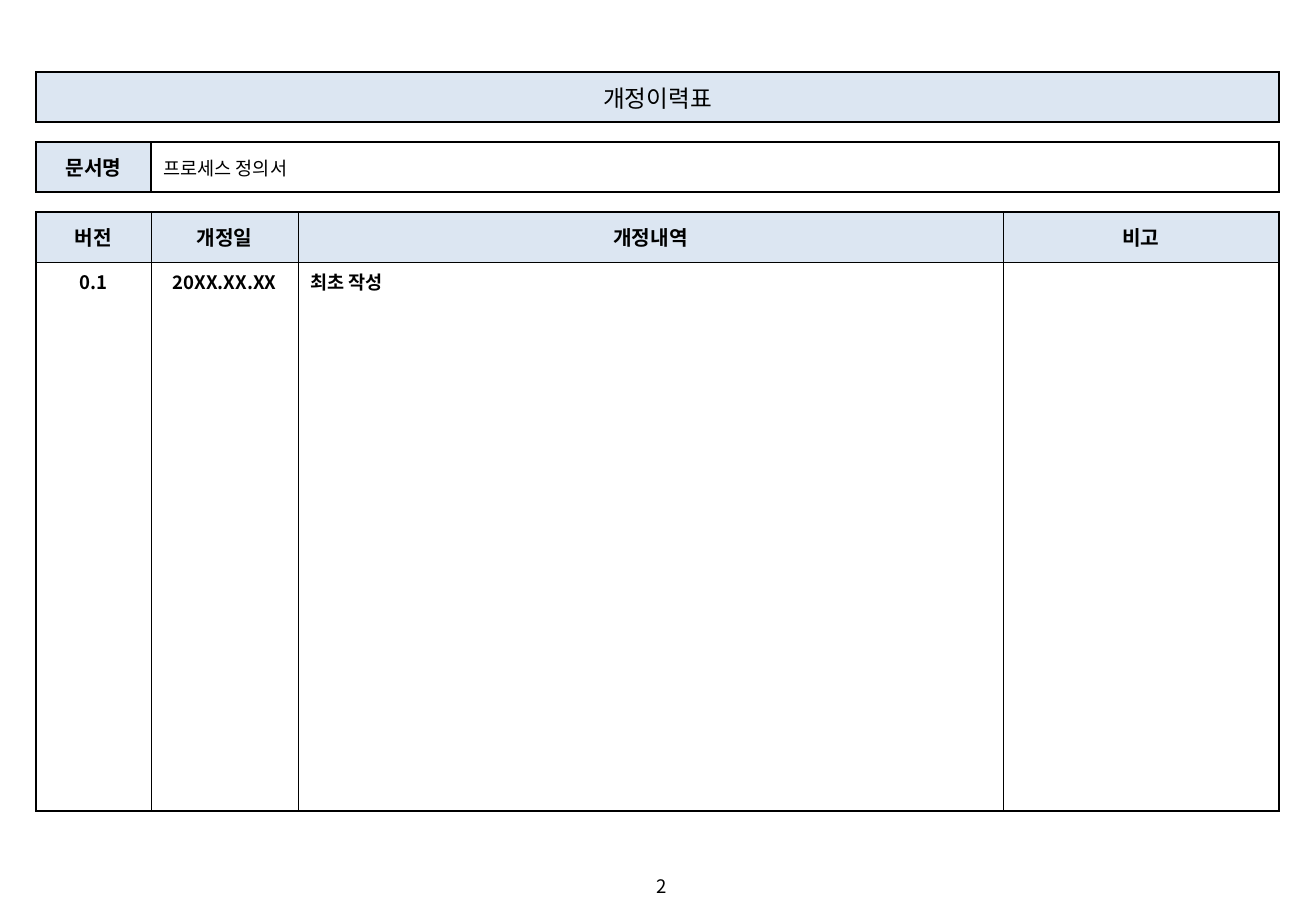
import dataclasses

import lxml.etree
import pptx
import pptx.dml.color
import pptx.enum.text
import pptx.oxml.ns
import pptx.table
import pptx.util

SCALE = 914400 / 121.5
FONT = "Noto Sans CJK KR"
HUES = {"ink": "000000", "head": "DCE6F2"}
ALIGN = pptx.enum.text.PP_ALIGN
ANCHOR = pptx.enum.text.MSO_ANCHOR

COLS = [115, 147, 705, 276]
ROWS = [50, 20, 50, 20, 50, 549]
GAPS = (1, 3)
GRID = 4  # first row with thin inner lines


@dataclasses.dataclass(frozen=True)
class Entry:
    row: int
    col: int
    text: str = ""
    size: int = 11
    bold: bool = False
    head: bool = False
    mid: bool = True
    center: bool = True
    span: int = 1


ENTRIES = [
    Entry(0, 0, "개정이력표", 14, head=True, span=4),
    Entry(1, 0, span=4),
    Entry(2, 0, "문서명", 12, bold=True, head=True),
    Entry(2, 1, "프로세스 정의서", center=False, span=3),
    Entry(3, 0, span=4),
    *(Entry(4, col, text, 12, bold=True, head=True)
      for col, text in enumerate(["버전", "개정일", "개정내역", "비고"])),
    Entry(5, 0, "0.1", bold=True, mid=False),
    Entry(5, 1, "20XX.XX.XX", bold=True, mid=False),
    Entry(5, 2, "최초 작성", bold=True, mid=False, center=False),
    Entry(5, 3, mid=False),
]


def px(count: int) -> pptx.util.Emu:
    return pptx.util.Emu(round(count * SCALE))


def tag(parent, name: str, **attrs: str):
    return lxml.etree.SubElement(parent, pptx.oxml.ns.qn(name), **attrs)


def write(frame, text: str, *, size: int = 11, bold: bool = False,
          align=ALIGN.LEFT) -> None:
    para = frame.paragraphs[0]
    para.alignment = align
    run = para.add_run()
    run.text = text
    run.font.size = pptx.util.Pt(size)
    run.font.bold = bold
    run.font.name = FONT
    run.font.color.rgb = pptx.dml.color.RGBColor.from_string(HUES["ink"])
    tag(run.font._element, "a:ea", typeface=FONT)


def border(cell: pptx.table._Cell, row: int, col: int) -> None:
    thin = 0.5 if row >= GRID else 1
    widths = {
        "L": 1 if col == 0 else thin,
        "R": 1 if col == len(COLS) - 1 else thin,
        "T": 1 if row <= GRID else thin,
        "B": thin if row == GRID else 1,
    }
    props = cell._tc.get_or_add_tcPr()
    for side, width in widths.items():
        line = tag(props, f"a:ln{side}", w=str(pptx.util.Pt(width)))
        if row in GAPS and side in "LR":
            tag(line, "a:noFill")
        else:
            tag(tag(line, "a:solidFill"), "a:srgbClr", val=HUES["ink"])


def fill(table: pptx.table.Table, entry: Entry) -> None:
    cell = table.cell(entry.row, entry.col)
    if entry.span > 1:
        cell.merge(table.cell(entry.row, entry.col + entry.span - 1))
    for col in range(entry.col, entry.col + entry.span):
        part = table.cell(entry.row, col)
        border(part, entry.row, col)
        if entry.head:
            part.fill.solid()
            part.fill.fore_color.rgb = pptx.dml.color.RGBColor.from_string(HUES["head"])
        else:
            part.fill.background()
        if entry.row in GAPS:
            # Tiny text keeps the gap row low
            part.margin_top = part.margin_bottom = 0
            tag(part.text_frame.paragraphs[0]._p, "a:endParaRPr", sz="300")
    cell.vertical_anchor = ANCHOR.MIDDLE if entry.mid else ANCHOR.TOP
    if entry.text:
        write(cell.text_frame, entry.text, size=entry.size, bold=entry.bold,
              align=ALIGN.CENTER if entry.center else ALIGN.LEFT)


def main() -> None:
    deck = pptx.Presentation()
    deck.slide_width, deck.slide_height = px(1316), px(911)
    slide = deck.slides.add_slide(deck.slide_layouts[6])

    # Revision table
    table = slide.shapes.add_table(len(ROWS), len(COLS), px(36), px(72),
                                   px(sum(COLS)), px(sum(ROWS))).table
    table.first_row = table.horz_banding = False
    for column, width in zip(table.columns, COLS):
        column.width = px(width)
    for line, height in zip(table.rows, ROWS):
        line.height = px(height)
    for entry in ENTRIES:
        fill(table, entry)

    # Page number
    page = slide.shapes.add_textbox(px(645), px(869), px(66), px(34)).text_frame
    page.word_wrap = True
    page.vertical_anchor = ANCHOR.MIDDLE
    write(page, "2")

    deck.save("out.pptx")


if __name__ == "__main__":
    main()
